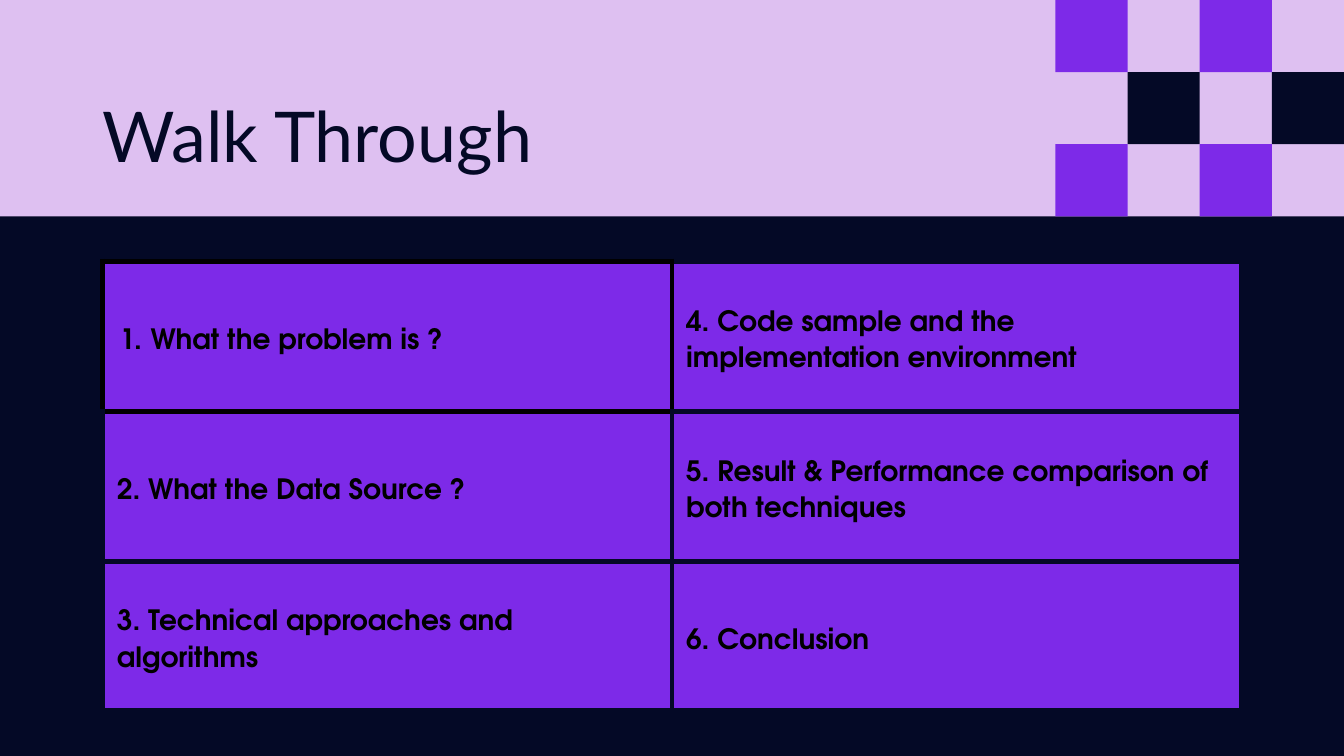
from lxml import etree
from pptx import Presentation
from pptx import util as u
from pptx.dml.color import RGBColor
from pptx.enum import shapes, text
from pptx.oxml.ns import qn

THEME = {
    "lilac": "DEC0F1", "violet": "7D2AE8", "night": "040926", "black": "000000",
    "title_font": "Lato", "title_size": 75,
    "cell_font": "TeX Gyre Adventor", "cell_size": 30, "border": 6,
}


def paint(fill, name):
    fill.solid()
    fill.fore_color.rgb = RGBColor.from_string(THEME[name])


def add_border(cell, edge, name):
    line = etree.SubElement(cell._tc.get_or_add_tcPr(), qn("a:ln" + edge),
                            w=str(u.Pt(THEME["border"])))
    solid = etree.SubElement(line, qn("a:solidFill"))
    etree.SubElement(solid, qn("a:srgbClr"), val=THEME[name])


deck = Presentation()
deck.slide_width, deck.slide_height = u.Inches(20), u.Inches(11.25)
page = deck.slides.add_slide(deck.slide_layouts[5])
paint(page.background.fill, "lilac")

# Grid: the header is three square tiles high, the pattern four tiles wide
header = u.Inches(3.22)
tile = header / 3
pattern_left = deck.slide_width - 4 * tile
margin = u.Inches(1.53)

# Dark body panel and checkered corner: left, top, width, height, colour
blocks = [(0, header, deck.slide_width, deck.slide_height - header, "night")]
for row in range(3):
    for column in range(row % 2, 4, 2):
        blocks.append((pattern_left + column * tile, row * tile, tile, tile,
                       "night" if row % 2 else "violet"))
for left, top, width, height, name in blocks:
    block = page.shapes.add_shape(shapes.MSO_SHAPE.RECTANGLE,
                                  round(left), round(top), round(width), round(height))
    block.shadow.inherit = False
    block.line.fill.background()
    paint(block.fill, name)

# Title
title = page.shapes.title
title.left, title.top = margin, u.Inches(1.13)
title.width, title.height = u.Inches(13.76), u.Inches(1.26)
frame = title.text_frame
frame.text = "Walk Through"
frame.word_wrap = True
frame.auto_size = text.MSO_AUTO_SIZE.NONE
frame.vertical_anchor = text.MSO_ANCHOR.TOP
frame.margin_left = frame.margin_right = frame.margin_top = frame.margin_bottom = 0
para = frame.paragraphs[0]
para.alignment = text.PP_ALIGN.LEFT
para.line_spacing = 1.2
span = para.runs[0]
span.font.name, span.font.size = THEME["title_font"], u.Pt(THEME["title_size"])
span.font.color.rgb = RGBColor.from_string(THEME["night"])

# Agenda table
agenda = [
    ("What the problem is ?", "4. Code sample and the implementation environment"),
    ("2. What the Data Source ?", "5. Result & Performance comparison of both techniques"),
    ("3. Technical approaches and algorithms", "6. Conclusion"),
]
column_width, row_height = u.Inches(8.47), u.Inches(2.23)
table = page.shapes.add_table(3, 2, margin, u.Inches(3.89),
                              2 * column_width, 3 * row_height).table
table.first_row = table.horz_banding = False
for column in table.columns:
    column.width = column_width
for row in table.rows:
    row.height = row_height

for r, items in enumerate(agenda):
    for c, item in enumerate(items):
        cell = table.cell(r, c)
        cell.text = item
        cell.vertical_anchor = text.MSO_ANCHOR.MIDDLE
        cell.margin_left = cell.margin_right = u.Inches(0.21)
        cell.margin_top = cell.margin_bottom = u.Inches(0.21)

        # Black edges surround the first cell, dark blue ones the rest
        black_edges = {(0, 0): "LRTB", (0, 1): "L", (1, 0): "T"}.get((r, c), "")
        for edge in "LRTB":
            add_border(cell, edge, "black" if edge in black_edges else "night")
        paint(cell.fill, "violet")

        para = cell.text_frame.paragraphs[0]
        para.alignment = text.PP_ALIGN.LEFT
        para.line_spacing = 1.4
        # Only the first item is numbered automatically
        if (r, c) == (0, 0):
            props = para._p.get_or_add_pPr()
            props.set("marL", str(u.Inches(0.5)))
            props.set("indent", str(u.Inches(-0.46)))
            colour = etree.SubElement(props, qn("a:buClr"))
            etree.SubElement(colour, qn("a:srgbClr"), val=THEME["black"])
            etree.SubElement(props, qn("a:buFont"), typeface=THEME["cell_font"])
            etree.SubElement(props, qn("a:buAutoNum"), type="arabicPeriod")
        span = para.runs[0]
        span.font.name, span.font.size = THEME["cell_font"], u.Pt(THEME["cell_size"])
        span.font.bold = True
        span.font.color.rgb = RGBColor.from_string(THEME["black"])

deck.save("out.pptx")
